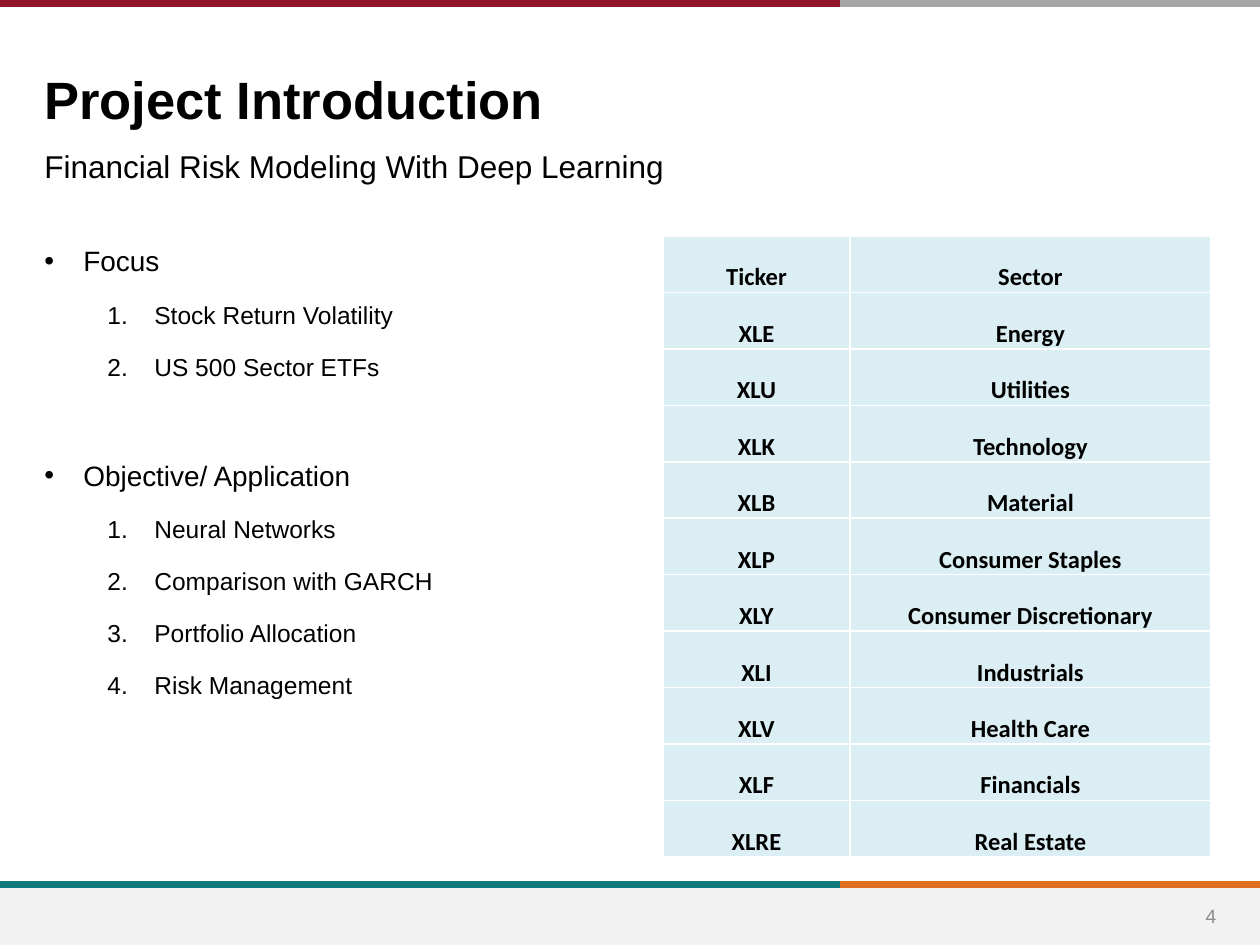
"""Build the project introduction slide with an outline and a sector table."""
from dataclasses import dataclass

import lxml.etree
import pptx
import pptx.dml.color
import pptx.enum.shapes
import pptx.enum.text
import pptx.oxml.ns
import pptx.util

EMU_PER_PX = 914400 / 126
ALIGN = pptx.enum.text.PP_ALIGN
ANCHOR = pptx.enum.text.MSO_ANCHOR
BLACK = "000000"
LINE_SPACING = 1.05


@dataclass(frozen=True)
class Box:
    left: int
    top: int
    width: int
    height: int


@dataclass(frozen=True)
class Rule:
    start: int
    end: int
    height: int
    color: str


@dataclass(frozen=True)
class Topic:
    heading: str
    items: tuple[str, ...]
    space_before: float = 0


RULES = (
    Rule(840, 1260, 885, "DF7023"),
    Rule(0, 840, 885, "0F787D"),
    Rule(840, 1260, 4, "A6A6A6"),
    Rule(0, 840, 4, "90152A"),
)
TOPICS = (
    Topic("Focus", ("Stock Return Volatility", "US 500 Sector ETFs")),
    Topic(
        "Objective/ Application",
        ("Neural Networks", "Comparison with GARCH", "Portfolio Allocation", "Risk Management"),
        space_before=31.3,
    ),
)
SECTORS = (
    ("Ticker", "Sector"),
    ("XLE", "Energy"),
    ("XLU", "Utilities"),
    ("XLK", "Technology"),
    ("XLB", "Material"),
    ("XLP", "Consumer Staples"),
    ("XLY", "Consumer Discretionary"),
    ("XLI", "Industrials"),
    ("XLV", "Health Care"),
    ("XLF", "Financials"),
    ("XLRE", "Real Estate"),
)
COLUMN_WIDTHS = (187, 361)


def px(length: int) -> pptx.util.Emu:
    """Turn pixels into EMU."""
    return pptx.util.Emu(round(length * EMU_PER_PX))


def rgb(color: str) -> pptx.dml.color.RGBColor:
    """Turn a hex string into a colour."""
    return pptx.dml.color.RGBColor.from_string(color)


def add_element(parent, tag: str, **attributes: str):
    """Append a drawing element to its parent."""
    return lxml.etree.SubElement(parent, pptx.oxml.ns.qn(tag), attributes)


def place(shape, box: Box) -> None:
    """Move and size a shape."""
    shape.left, shape.top = px(box.left), px(box.top)
    shape.width, shape.height = px(box.width), px(box.height)


def add_text_box(page, box: Box):
    """Add an empty wrapping text box."""
    shape = page.shapes.add_textbox(px(box.left), px(box.top), px(box.width), px(box.height))
    shape.text_frame.word_wrap = True
    return shape


def style(para, size: int, color: str = BLACK, name: str = "Arial", bold: bool = False) -> None:
    """Format every run of a paragraph."""
    for span in para.runs:
        span.font.size = pptx.util.Pt(size)
        span.font.name = name
        span.font.bold = bold
        span.font.color.rgb = rgb(color)


def add_rule(page, rule: Rule) -> None:
    """Draw one coloured horizontal rule."""
    line = page.shapes.add_connector(
        pptx.enum.shapes.MSO_CONNECTOR.STRAIGHT,
        px(rule.start), px(rule.height), px(rule.end), px(rule.height),
    )
    line.line.color.rgb = rgb(rule.color)
    line.line.width = pptx.util.Pt(4)
    add_element(line.element.spPr, "a:effectLst")


def add_footer(page) -> None:
    """Draw the footer band and the page number."""
    band = page.shapes.add_shape(
        pptx.enum.shapes.MSO_SHAPE.RECTANGLE, px(0), px(888), px(1260), px(57)
    )
    band.shadow.inherit = False
    band.fill.solid()
    band.fill.fore_color.rgb = rgb("F2F2F2")
    band.line.fill.background()
    frame = add_text_box(page, Box(1178, 891, 66, 50)).text_frame
    frame.text = "4"
    frame.vertical_anchor = ANCHOR.MIDDLE
    frame.paragraphs[0].alignment = ALIGN.CENTER
    style(frame.paragraphs[0], 11, "8C8C8C")


def add_headings(page) -> None:
    """Fill the title and add the subtitle."""
    title = page.shapes.title
    place(title, Box(32, 58, 1007, 74))
    subtitle = add_text_box(page, Box(32, 139, 1198, 57))
    for shape, text, size, bold in (
        (title, "Project Introduction", 30, True),
        (subtitle, "Financial Risk Modeling With Deep Learning", 18, False),
    ):
        frame = shape.text_frame
        frame.text = text
        frame.auto_size = pptx.enum.text.MSO_AUTO_SIZE.NONE
        frame.vertical_anchor = ANCHOR.TOP
        para = frame.paragraphs[0]
        para.alignment = ALIGN.LEFT
        para.line_spacing = LINE_SPACING
        style(para, size, bold=bold)


def write_entry(para, text: str, level: int, space_before: float = 0) -> None:
    """Write a bulleted heading or a numbered item."""
    margin, hanging, size = ((39, 39, 16), (110, 47, 14))[level]
    para.text = text
    para.level = level
    properties = para._p.get_or_add_pPr()
    properties.set("marL", str(px(margin)))
    properties.set("indent", str(-px(hanging)))
    add_element(properties, "a:buFont", typeface="Arial")
    if level:
        add_element(properties, "a:buAutoNum", type="arabicPeriod")
    else:
        add_element(properties, "a:buChar", char="•")
    para.line_spacing = LINE_SPACING
    para.space_after = pptx.util.Pt(12)
    if space_before:
        para.space_before = pptx.util.Pt(space_before)
    style(para, size)


def add_outline(page, topics: tuple[Topic, ...]) -> None:
    """Write the topics with their numbered items."""
    frame = add_text_box(page, Box(32, 236, 600, 604)).text_frame
    for index, topic in enumerate(topics):
        para = frame.add_paragraph() if index else frame.paragraphs[0]
        write_entry(para, topic.heading, 0, topic.space_before)
        for item in topic.items:
            write_entry(frame.add_paragraph(), item, 1)


def format_cell(cell, text: str) -> None:
    """Write a cell with white borders and a pale fill."""
    cell.text = text
    cell.vertical_anchor = ANCHOR.BOTTOM
    cell.margin_left = cell.margin_right = cell.margin_top = px(1)
    cell.margin_bottom = 0
    properties = cell._tc.get_or_add_tcPr()
    for side in "LRTB":
        border = add_element(properties, f"a:ln{side}", w=str(pptx.util.Pt(1)))
        add_element(add_element(border, "a:solidFill"), "a:srgbClr", val="FFFFFF")
    cell.fill.solid()
    cell.fill.fore_color.rgb = rgb("DBEEF4")
    para = cell.text_frame.paragraphs[0]
    para.alignment = ALIGN.CENTER
    style(para, 14, name="Calibri", bold=True)


def add_sector_table(page) -> None:
    """Draw the table of tickers and sectors."""
    table = page.shapes.add_table(
        len(SECTORS), len(COLUMN_WIDTHS), px(663), px(236), px(sum(COLUMN_WIDTHS)), px(621)
    ).table
    table.first_row = table.horz_banding = False
    for column, width in zip(table.columns, COLUMN_WIDTHS):
        column.width = px(width)
    for row, texts in zip(table.rows, SECTORS):
        for cell, text in zip(row.cells, texts):
            format_cell(cell, text)


def main() -> None:
    """Build and save the deck."""
    deck = pptx.Presentation()
    deck.slide_width, deck.slide_height = px(1260), px(945)
    page = deck.slides.add_slide(deck.slide_layouts[5])
    for rule in RULES:
        add_rule(page, rule)
    add_footer(page)
    add_headings(page)
    add_outline(page, TOPICS)
    add_sector_table(page)
    deck.save("out.pptx")


if __name__ == "__main__":
    main()
